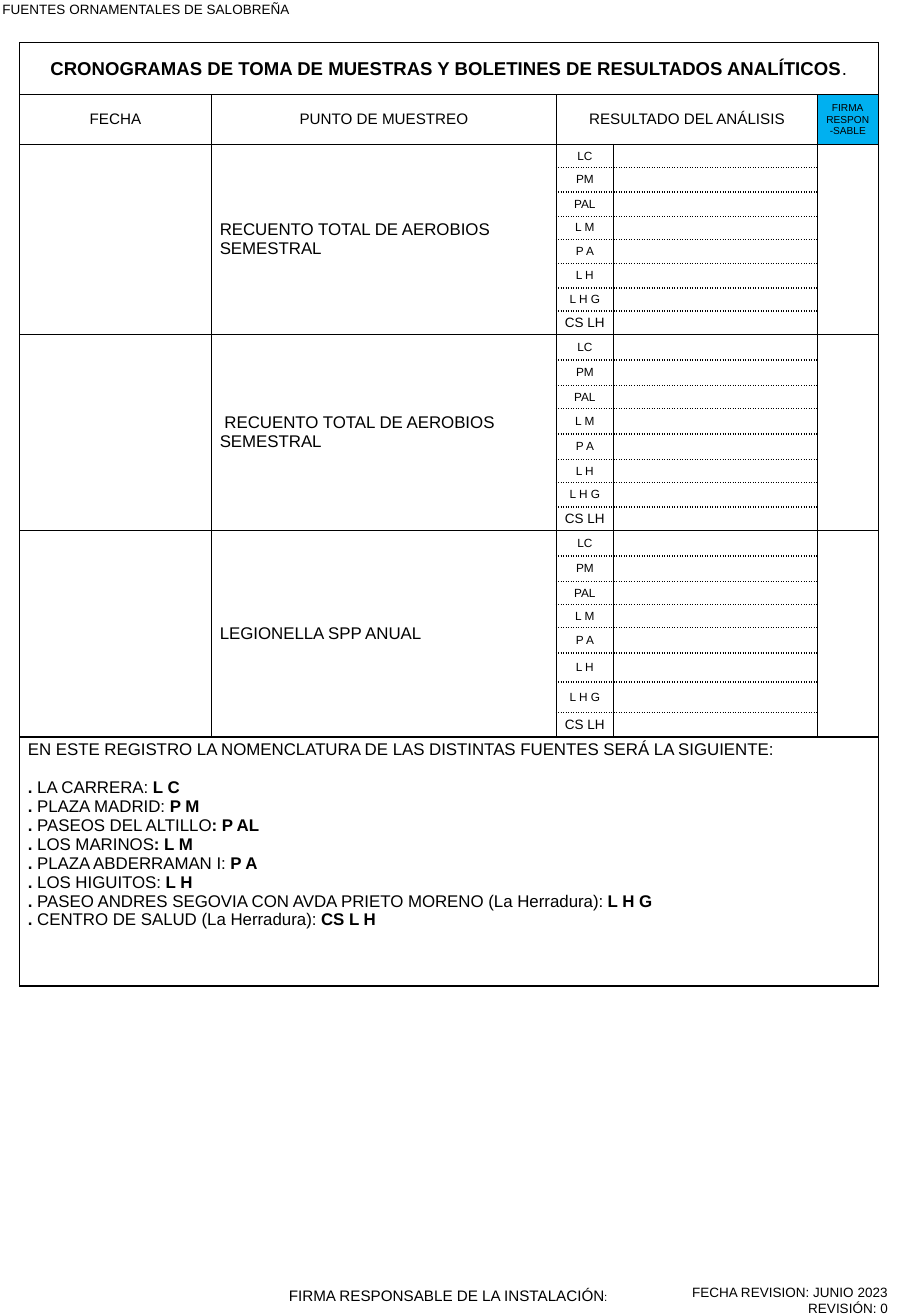
from pptx import Presentation
from pptx import util as u
from pptx.dml.color import RGBColor
from pptx.enum import text
from pptx.oxml import parse_xml
from pptx.oxml.ns import nsdecls

WIDTH, HEIGHT = 7.5, 10.83
BLACK, WHITE, SIGN_BLUE = "000000", "FFFFFF", "00B0F0"
LEFT, CENTER, RIGHT = text.PP_ALIGN.LEFT, text.PP_ALIGN.CENTER, text.PP_ALIGN.RIGHT

COLUMNS = [1.58, 2.84, 0.47, 1.68, 0.5]
FOUNTAINS = ["LC", "PM", "PAL", "L M", "P A", "L H", "L H G", "CS LH"]
# Each sampling block: test name and the heights of its fountain rows
BLOCKS = [
    ("RECUENTO TOTAL DE AEROBIOS SEMESTRAL",
     [0.19, 0.2, 0.2, 0.19, 0.2, 0.2, 0.19, 0.19]),
    (" RECUENTO TOTAL DE AEROBIOS SEMESTRAL",
     [0.21, 0.21, 0.19, 0.21, 0.21, 0.19, 0.2, 0.19]),
    ("LEGIONELLA SPP ANUAL",
     [0.21, 0.21, 0.19, 0.19, 0.21, 0.24, 0.25, 0.2]),
]
TITLE_ROW, HEADER_ROW, FIRST_BLOCK_ROW = 0, 1, 2
LEGEND_ROW = FIRST_BLOCK_ROW + len(BLOCKS) * len(FOUNTAINS)
# Asterisks enclose the bold words
LEGEND = [
    "EN ESTE REGISTRO LA NOMENCLATURA DE LAS DISTINTAS FUENTES SERÁ LA SIGUIENTE:",
    "*. *LA CARRERA: *L C*",
    "*. *PLAZA MADRID: *P M*",
    "*. *PASEOS DEL ALTILLO*: P AL*",
    "*. *LOS MARINOS*: L M*",
    "*. *PLAZA ABDERRAMAN I: *P A*",
    "*. *LOS HIGUITOS: *L H*",
    "*. *PASEO ANDRES SEGOVIA CON AVDA PRIETO MORENO (La Herradura): *L H G*",
    "*. *CENTRO DE SALUD (La Herradura): *CS L H*",
]


def color(value):
    return RGBColor.from_string(value)


def add_span(para, words, size, bold=False):
    span = para.add_run()
    span.text = words
    span.font.name = "Arial"
    span.font.size = u.Pt(size)
    span.font.bold = bold
    span.font.color.rgb = color(BLACK)


def write(frame, lines, size, align=LEFT):
    for number, line in enumerate(lines):
        para = frame.add_paragraph() if number else frame.paragraphs[0]
        para.alignment = align
        for part, words in enumerate(line.split("*")):
            if words:
                add_span(para, words, size, bold=part % 2 == 1)


def set_margins(target, side, upright):
    target.margin_left = target.margin_right = u.Inches(side)
    target.margin_top = target.margin_bottom = u.Inches(upright)


def add_text(page, place, lines, size, align=LEFT, margins=(0.1, 0.05)):
    box = page.shapes.add_textbox(*(u.Inches(length) for length in place))
    frame = box.text_frame
    frame.word_wrap = True
    set_margins(frame, *margins)
    write(frame, lines, size, align)
    return frame


def set_borders(cell, left, top, right, bottom, dotted=""):
    """Widths in points; dotted holds the letters of the dotted edges."""
    properties = cell._tc.get_or_add_tcPr()
    for edge, width in (("L", left), ("R", right), ("T", top), ("B", bottom)):
        dash = "sysDot" if edge in dotted else "solid"
        properties.append(parse_xml(
            f'<a:ln{edge} {nsdecls("a")} w="{u.Pt(width)}">'
            f'<a:solidFill><a:srgbClr val="{BLACK}"/></a:solidFill>'
            f'<a:prstDash val="{dash}"/></a:ln{edge}>'))


def fill_cell(cell, lines, size, borders, align=CENTER, dotted="",
              fill=WHITE, anchor=text.MSO_ANCHOR.MIDDLE):
    set_margins(cell, 0.07, 0.03)
    cell.vertical_anchor = anchor
    set_borders(cell, *borders, dotted=dotted)
    cell.fill.solid()
    cell.fill.fore_color.rgb = color(fill)
    write(cell.text_frame, lines, size, align)


def add_grid(page):
    heights = [0.43, 0.41] + [h for _, rows in BLOCKS for h in rows] + [2.05]
    grid = page.shapes.add_table(
        len(heights), len(COLUMNS), u.Inches(0.16), u.Inches(0.35),
        u.Inches(sum(COLUMNS)), u.Inches(sum(heights))).table
    grid.first_row = grid.horz_banding = False
    for column, width in zip(grid.columns, COLUMNS):
        column.width = u.Inches(width)
    for row, height in zip(grid.rows, heights):
        row.height = u.Inches(height)
    # Small empty lines keep the rows at their height
    for cell in grid.iter_cells():
        set_margins(cell, 0.07, 0.03)
        cell.text_frame.paragraphs[0]._p.get_or_add_endParaRPr().set("sz", "600")
    return grid


def fill_headings(grid):
    last = len(COLUMNS) - 1
    title = grid.cell(TITLE_ROW, 0)
    title.merge(grid.cell(TITLE_ROW, last))
    fill_cell(title, ["*CRONOGRAMAS DE TOMA DE MUESTRAS Y BOLETINES DE "
                      "RESULTADOS ANALÍTICOS*."], 11, (0.5, 0.5, 0.5, 1))
    grid.cell(HEADER_ROW, 2).merge(grid.cell(HEADER_ROW, 3))
    for column, lines, size, left, right, fill in [
        (0, ["FECHA"], 9, 0.5, 0.5, WHITE),
        (1, ["PUNTO DE MUESTREO"], 9, 0.5, 1, WHITE),
        (2, ["RESULTADO DEL ANÁLISIS"], 9, 1, 0.5, WHITE),
        (last, ["FIRMA", "RESPON-SABLE"], 6, 0.5, 0.5, SIGN_BLUE),
    ]:
        fill_cell(grid.cell(HEADER_ROW, column), lines, size,
                  (left, 1, right, 1), fill=fill)


def fill_block(grid, first, test):
    final = first + len(FOUNTAINS) - 1
    # Date, test and signature run down the whole block
    for column, lines, right in ((0, [], 0.5), (1, [test], 1), (4, [], 0.5)):
        cell = grid.cell(first, column)
        cell.merge(grid.cell(final, column))
        fill_cell(cell, lines, 10, (0.5, 1, right, 1), LEFT)
    # One row for each fountain, parted by dotted lines
    for row, fountain in enumerate(FOUNTAINS, first):
        dotted = ("T" if row > first else "") + ("B" if row < final else "")
        size = 8 if row == final else 7
        fill_cell(grid.cell(row, 2), [fountain], size, (1, 1, 0.5, 1), dotted=dotted)
        fill_cell(grid.cell(row, 3), [], size, (0.5, 1, 0.5, 1), dotted=dotted)


def fill_legend(grid):
    legend = grid.cell(LEGEND_ROW, 0)
    legend.merge(grid.cell(LEGEND_ROW, len(COLUMNS) - 1))
    fill_cell(legend, LEGEND, 10, (0.5, 1, 0.5, 1), LEFT,
              anchor=text.MSO_ANCHOR.TOP)
    legend.text_frame.paragraphs[1].space_before = u.Pt(11.5)


def main():
    deck = Presentation()
    deck.slide_width, deck.slide_height = u.Inches(WIDTH), u.Inches(HEIGHT)
    page = deck.slides.add_slide(deck.slide_layouts[6])

    # Page header and footer
    add_text(page, (0, 0, 3.23, 0.19), ["FUENTES ORNAMENTALES DE SALOBREÑA"], 8,
             margins=(0.02, 0.01))
    revision = add_text(page, (5.17, 10.52, 2.33, 0.33),
                        ["FECHA REVISION: JUNIO 2023", "REVISIÓN: 0"], 8, RIGHT)
    revision.paragraphs[0]._p.get_or_add_pPr().set("marR", str(u.Inches(0.09)))
    signature = add_text(page, (2.28, 10.54, 2.93, 0.16),
                         ["FIRMA RESPONSABLE DE LA INSTALACIÓN"], 9)
    add_span(signature.paragraphs[0], ":", 6.9)

    # Sampling schedule
    grid = add_grid(page)
    fill_headings(grid)
    for number, (test, _) in enumerate(BLOCKS):
        fill_block(grid, FIRST_BLOCK_ROW + number * len(FOUNTAINS), test)
    fill_legend(grid)

    deck.save("out.pptx")


if __name__ == "__main__":
    main()
